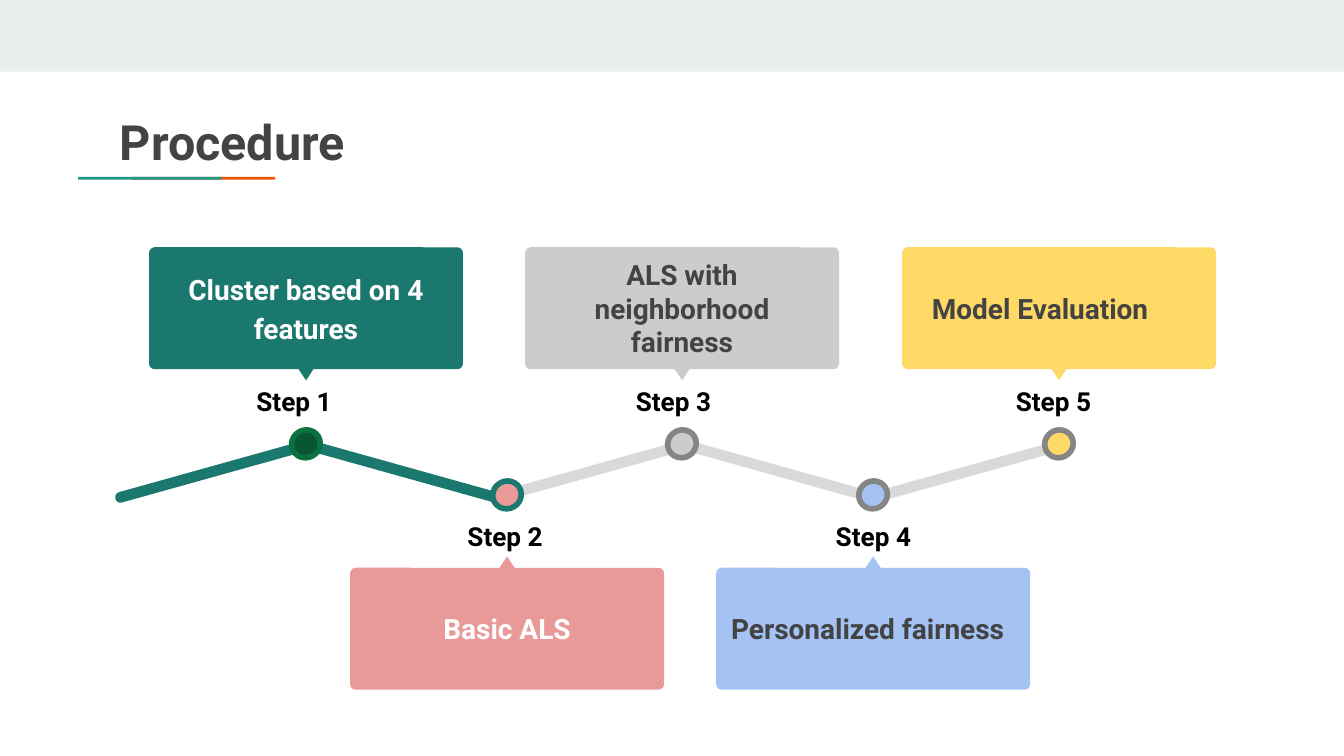
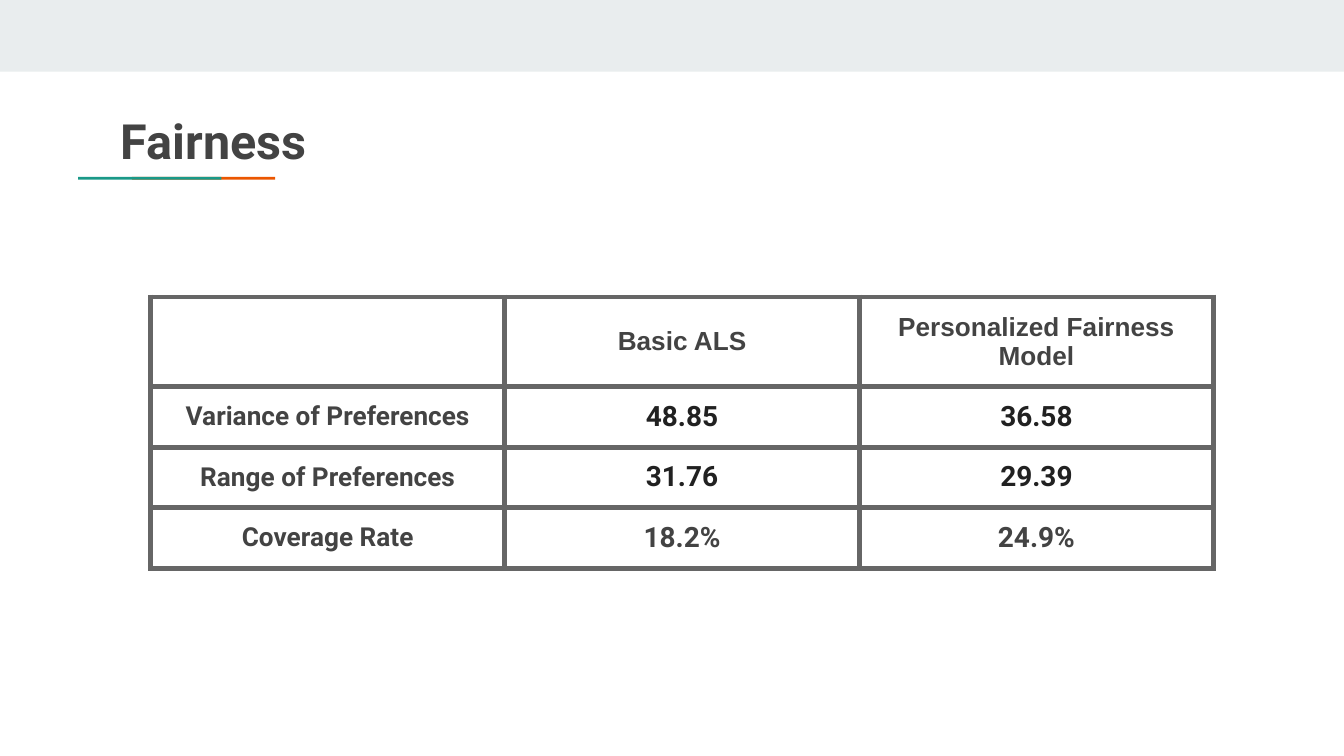
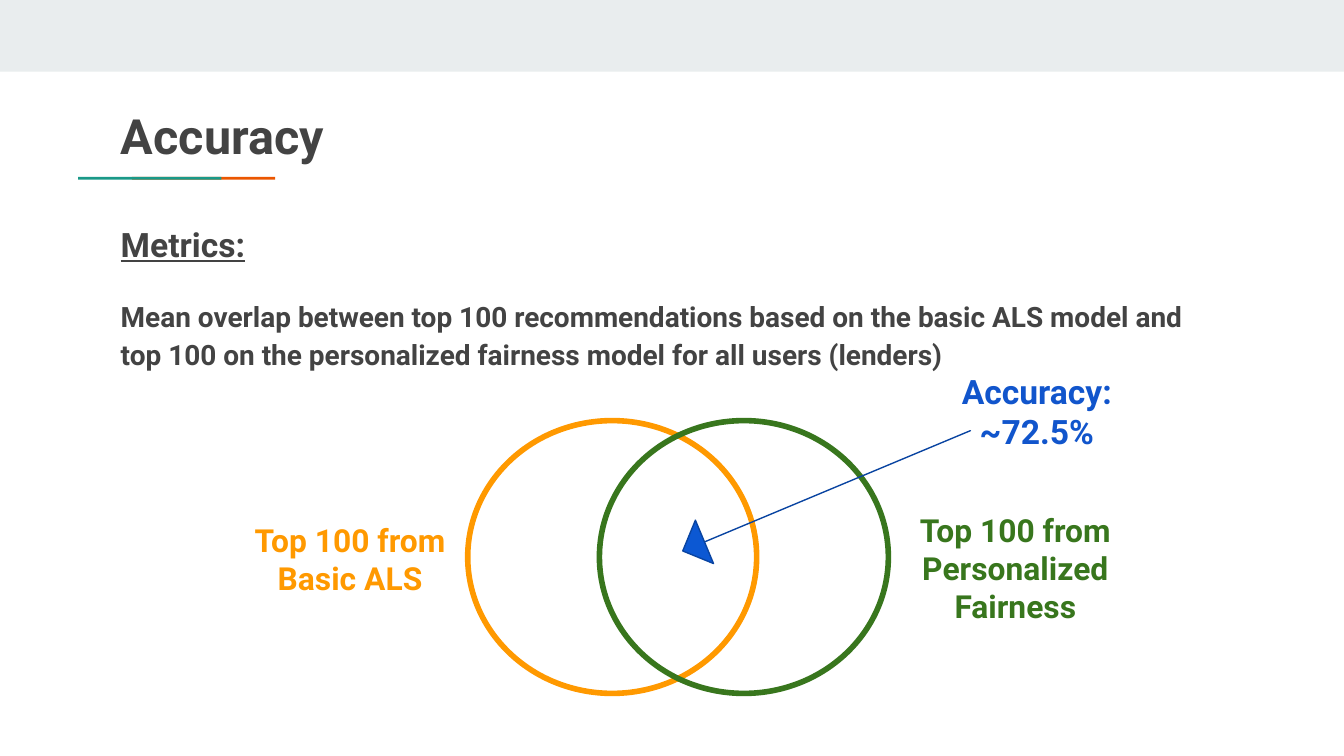
from dataclasses import dataclass

from lxml import etree
from pptx import Presentation
from pptx.dml.color import RGBColor
from pptx.enum.shapes import MSO_SHAPE
from pptx.enum.text import MSO_ANCHOR, PP_ALIGN
from pptx.oxml.ns import qn
from pptx.util import Inches, Pt

RECTANGLE = MSO_SHAPE.RECTANGLE
ROUNDED = MSO_SHAPE.ROUNDED_RECTANGLE
TRIANGLE = MSO_SHAPE.ISOSCELES_TRIANGLE
OVAL = MSO_SHAPE.OVAL
CIRCLE = MSO_SHAPE.FLOWCHART_CONNECTOR
ARROW = MSO_SHAPE.RIGHT_ARROW
LEFT, CENTER = PP_ALIGN.LEFT, PP_ALIGN.CENTER
TOP, MIDDLE = MSO_ANCHOR.TOP, MSO_ANCHOR.MIDDLE

# The slide is a grid of 100 columns; rows are as tall as columns are wide
SLIDE_COLUMNS, SLIDE_ROWS = 100, 56.25
UNIT = Inches(0.1)

FONT, TABLE_HEAD_FONT = "Roboto", "Arial"
DARK, BLACK, WHITE, NEAR_BLACK = "434343", "000000", "FFFFFF", "212121"
BAND, RULE_GREEN, RULE_ORANGE = "E9EDEE", "1A9988", "EB5600"
TEAL, SILVER, RING, BORDER = "1B786E", "D9D9D9", "858585", "666666"
ORANGE, GREEN, BLUE = "FF9900", "38761D", "1155CC"


@dataclass(frozen=True)
class Box:
    """A place on the grid, in columns and rows."""
    column: float
    row: float
    columns: float
    rows: float

    def lengths(self) -> list[int]:
        return [round(value * UNIT) for value in
                (self.column, self.row, self.columns, self.rows)]


@dataclass(frozen=True)
class Step:
    text: str
    center: float
    label_column: float
    fill: str
    above: bool
    text_color: str = DARK
    dot_fill: str = ""
    ring: str = RING
    align: int = CENTER
    indent: float = 1
    text_in_box: bool = False


STEPS = [
    Step("Cluster based on 4 features", 22.77, 18.1, TEAL, True, WHITE,
         dot_fill="085631", ring="0B7140", text_in_box=True),
    Step("Basic ALS", 37.73, 33.8, "EA9999", False, WHITE, ring=TEAL),
    Step("ALS with neighborhood fairness", 50.75, 46.33, "CCCCCC", True,
         indent=2.1),
    Step("Personalized fairness", 64.97, 61.2, "A4C2F4", False, align=LEFT),
    Step("Model Evaluation", 78.8, 74.6, "FFD966", True, align=LEFT, indent=2.1),
]

TABLE_ROWS = [
    ("", "Basic ALS", "Personalized Fairness Model"),
    ("Variance of Preferences", "48.85", "36.58"),
    ("Range of Preferences", "31.76", "29.39"),
    ("Coverage Rate", "18.2%", "24.9%"),
]


def color(value: str) -> RGBColor:
    return RGBColor.from_string(value)


def write(frame, text: str, *, size: float, text_color: str = DARK,
          font: str = FONT, align=LEFT, anchor=TOP, spacing: float = 1.0,
          before: float = 0, after: float = 0, underline: bool = False,
          indent: float = 1, append: bool = False) -> None:
    """Write one bold paragraph per line of text."""
    frame.word_wrap = True
    frame.vertical_anchor = anchor
    frame.margin_left = frame.margin_right = round(indent * UNIT)
    frame.margin_top = frame.margin_bottom = UNIT
    for index, line in enumerate(text.split("\n")):
        if index or append:
            paragraph = frame.add_paragraph()
        else:
            paragraph = frame.paragraphs[0]
        paragraph.alignment = align
        paragraph.line_spacing = spacing
        paragraph.space_before, paragraph.space_after = Pt(before), Pt(after)
        run = paragraph.add_run()
        run.text = line
        run.font.name, run.font.size = font, Pt(size)
        run.font.bold, run.font.underline = True, underline
        run.font.color.rgb = color(text_color)


def add_text(slide, box: Box, text: str, **text_format):
    frame = slide.shapes.add_textbox(*box.lengths()).text_frame
    write(frame, text, **text_format)
    return frame


def add_shape(slide, kind, box: Box, *, fill: str = "", line: str = "",
              width: float = 3, rotation: float = 0,
              adjustments: tuple[float, ...] = ()):
    shape = slide.shapes.add_shape(kind, *box.lengths())
    shape.shadow.inherit = False
    shape.rotation = rotation
    for index, value in enumerate(adjustments):
        shape.adjustments[index] = value
    if fill:
        shape.fill.solid()
        shape.fill.fore_color.rgb = color(fill)
    else:
        shape.fill.background()
    if line:
        shape.line.color.rgb = color(line)
        shape.line.width = Pt(width)
    else:
        shape.line.fill.background()
    return shape


def add_slide(presentation, title: str, title_column: float, title_row: float):
    """Blank slide with the shared band, two-coloured rule and title."""
    slide = presentation.slides.add_slide(presentation.slide_layouts[6])
    add_shape(slide, RECTANGLE, Box(0, 0, SLIDE_COLUMNS, 5.33), fill=BAND)
    # Two overlapping bars, green in front
    for column, fill in ((9.82, RULE_ORANGE), (5.82, RULE_GREEN)):
        add_shape(slide, RECTANGLE, Box(column, 13.17, 10.65, 0.2), fill=fill)
    add_text(slide, Box(title_column, title_row, 84.1, 5.9), title, size=26)
    return slide


def add_step(slide, number: int, step: Step) -> None:
    """Callout with its pointer, label and dot on the path."""
    card_row, pointer_row, label_row, dot_row = (
        (18.4, 27.4, 27.7, 32) if step.above else (42.25, 41.4, 37.75, 35.8))
    card = add_shape(slide, ROUNDED,
                     Box(step.center - 11.68, card_row, 23.36, 9.07),
                     fill=step.fill, adjustments=(0.045,))
    add_shape(slide, TRIANGLE, Box(step.center - 0.6, pointer_row, 1.2, 0.9),
              fill=step.fill, rotation=180 if step.above else 0)
    if step.text_in_box:
        add_text(slide, Box(step.center - 11.1, card_row + 0.5, 22.2, 8.1),
                 step.text, size=15, text_color=step.text_color,
                 align=step.align, spacing=1.15, after=16)
    else:
        write(card.text_frame, step.text, size=15, text_color=step.text_color,
              align=step.align, anchor=MIDDLE, indent=step.indent)
    add_shape(slide, OVAL, Box(step.center - 1.08, dot_row, 2.15, 2.05),
              fill=step.dot_fill or step.fill, line=step.ring, rotation=330.2)
    add_text(slide, Box(step.label_column, label_row, 11.3, 2.8),
             f"Step {number}", size=14, text_color=BLACK)


def set_borders(cell, line: str, width: float) -> None:
    properties = cell._tc.get_or_add_tcPr()
    for index, edge in enumerate(("a:lnL", "a:lnR", "a:lnT", "a:lnB")):
        border = etree.Element(qn(edge), w=str(Pt(width)))
        fill = etree.SubElement(border, qn("a:solidFill"))
        etree.SubElement(fill, qn("a:srgbClr"), val=line)
        properties.insert(index, border)


def build_procedure(presentation) -> None:
    slide = add_slide(presentation, "Procedure", 7.93, 7.3)
    # Zigzag path, from right to left; the first two segments are done
    for index in reversed(range(5)):
        add_shape(slide, ROUNDED, Box(8.3 + 14.03 * index, 34.67, 15.2, 0.8),
                  fill=TEAL if index < 2 else SILVER, adjustments=(0.5,),
                  rotation=15.6 if index % 2 else 344.4)
    for number, step in enumerate(STEPS, start=1):
        add_step(slide, number, step)


def build_fairness(presentation) -> None:
    slide = add_slide(presentation, "Fairness", 8, 7.25)
    box = Box(11.2, 22.1, 79.1, 18.1)
    table = slide.shapes.add_table(len(TABLE_ROWS), 3, *box.lengths()).table
    table.first_row = table.horz_banding = False
    for row_index, values in enumerate(TABLE_ROWS):
        table.rows[row_index].height = round((4 if row_index else 6.1) * UNIT)
        for column_index, value in enumerate(values):
            cell = table.cell(row_index, column_index)
            cell.fill.background()
            set_borders(cell, BORDER, 3)
            cell.vertical_anchor = MIDDLE
            cell.margin_left = cell.margin_right = UNIT
            cell.margin_top = cell.margin_bottom = UNIT
            if not value:
                continue
            is_number = row_index > 0 and column_index > 0
            write(cell.text_frame, value, size=15 if is_number else 14,
                  font=FONT if row_index else TABLE_HEAD_FONT,
                  text_color=NEAR_BLACK if is_number and row_index < 3 else DARK,
                  align=CENTER, anchor=MIDDLE)


def build_accuracy(presentation) -> None:
    slide = add_slide(presentation, "Accuracy", 8, 6.9)
    body = add_text(slide, Box(8, 15.22, 84.1, 12.9), "Metrics:", size=18,
                    spacing=1.15, underline=True)
    write(body, "Mean overlap between top 100 recommendations based on the "
          "basic ALS model and top 100 on the personalized fairness model "
          "for all users (lenders)", size=15, spacing=1.15, before=16,
          after=16, append=True)
    # Two overlapping sets
    for column, line in ((34.8, ORANGE), (44.6, GREEN)):
        add_shape(slide, CIRCLE, Box(column, 31.3, 21.5, 20.3), line=line)
    # Arrow from the result to the overlap
    add_shape(slide, ARROW, Box(49.9, 34.77, 23.2, 3.5), fill="0C58D3",
              line="0944A1", width=0.75, rotation=157.3, adjustments=(0, 0.5))
    for column, row, text, size, text_color in (
            (17.9, 37.75, "Top 100 from Basic ALS", 17, ORANGE),
            (67.4, 37, "Top 100 from Personalized Fairness", 17, GREEN),
            (69, 26.6, "Accuracy:\n~72.5%", 18, BLUE)):
        add_text(slide, Box(column, row, 16.3, 8.8), text, size=size,
                 text_color=text_color, align=CENTER)


def main() -> None:
    presentation = Presentation()
    presentation.slide_width = round(SLIDE_COLUMNS * UNIT)
    presentation.slide_height = round(SLIDE_ROWS * UNIT)
    build_procedure(presentation)
    build_fairness(presentation)
    build_accuracy(presentation)
    presentation.save("out.pptx")


main()
